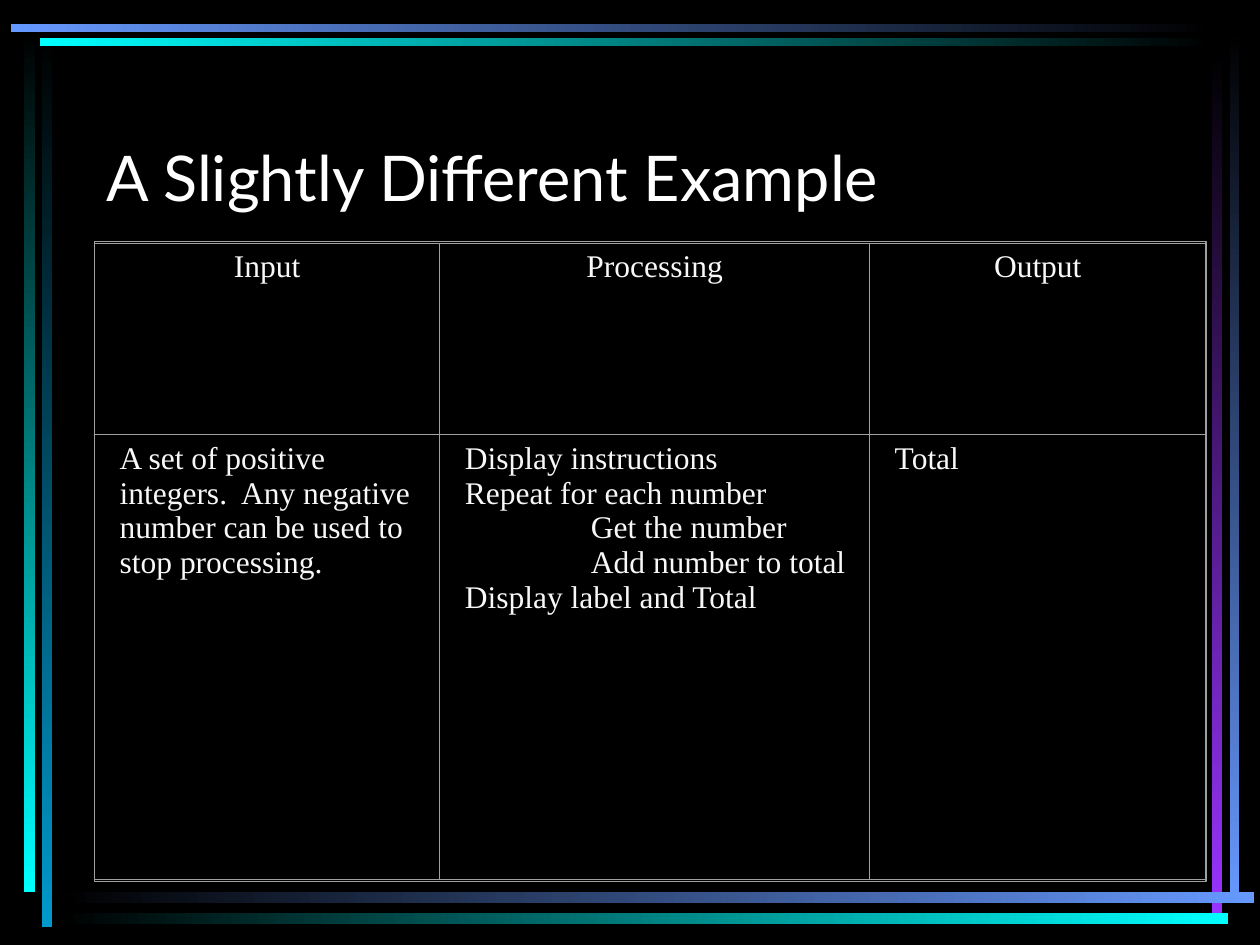
from lxml import etree
from pptx import Presentation
from pptx import util as u
from pptx.dml import color
from pptx.enum import shapes, text
from pptx.oxml import ns

Pt = u.Pt
BLACK = color.RGBColor(0, 0, 0)
WHITE = color.RGBColor(255, 255, 255)
PALE = color.RGBColor(0xF8, 0xF8, 0xF8)
GREY = color.RGBColor(0xA0, 0xA0, 0xA0)
CYAN = color.RGBColor(0, 255, 255)
TEAL = color.RGBColor(0, 0x99, 0xCC)
BLUE = color.RGBColor(0x66, 0x99, 0xFF)
PURPLE = color.RGBColor(0x99, 0x33, 0xFF)

BARS = [
    ((24, 20, 6, 510), BLACK, TEAL),
    ((14, 18, 6, 492), BLACK, CYAN),
    ((703, 17.3, 5, 499), BLACK, BLUE),
    ((692.6, 30, 6, 492), BLACK, PURPLE),
    ((32.4, 509.8, 684, 6), BLACK, BLUE),
    ((32.4, 522, 669.6, 6), BLACK, CYAN),
    ((23, 22, 671, 4.5), CYAN, BLACK),
    ((6, 13.5, 688, 5), BLUE, BLACK),
]
HEADS = ["Input", "Processing", "Output"]
BODY = [
    [("A set of positive integers.  Any negative number can be used to "
      "stop processing.", 0)],
    [("Display instructions", 0), ("Repeat for each number", 0),
     ("Get the number", 72), ("Add number to total", 72),
     ("Display label and Total", 0)],
    [("Total", 0)],
]
WIDTHS = [197.3, 245.6, 192.3]
HEIGHTS = [109.4, 254.2]


def write(para, words, font, size, tint):
    run = para.add_run()
    run.text = words
    run.font.name = font
    run.font.size = Pt(size)
    run.font.color.rgb = tint


def add_rect(slide, box):
    rect = slide.shapes.add_shape(
        shapes.MSO_SHAPE.RECTANGLE, *(Pt(n) for n in box))
    rect.shadow.inherit = False
    return rect


def add_bars(slide):
    for box, start, end in BARS:
        bar = add_rect(slide, box)
        bar.line.fill.background()
        bar.fill.gradient()
        bar.fill.gradient_angle = 270 if box[3] > box[2] else 0
        for stop, tint in zip(bar.fill.gradient_stops, (start, end)):
            stop.color.rgb = tint


def add_title(slide, box):
    frame = slide.shapes.add_textbox(*(Pt(n) for n in box)).text_frame
    frame.word_wrap = True
    frame.vertical_anchor = text.MSO_ANCHOR.BOTTOM
    write(frame.paragraphs[0], "A Slightly Different Example",
          "Lato", 36, WHITE)


def set_edges(cell):
    props = cell._tc.get_or_add_tcPr()
    for at, side in enumerate(("lnL", "lnR", "lnT", "lnB")):
        line = etree.Element(ns.qn("a:" + side), w=str(Pt(0.5)))
        fill = etree.SubElement(line, ns.qn("a:solidFill"))
        etree.SubElement(fill, ns.qn("a:srgbClr"), val=str(GREY))
        props.insert(at, line)


def fill_cell(cell, lines, align, right):
    cell.margin_left, cell.margin_right = Pt(14.4), Pt(right)
    cell.margin_top = cell.margin_bottom = Pt(3.6)
    cell.vertical_anchor = text.MSO_ANCHOR.TOP
    cell.fill.background()
    set_edges(cell)
    frame = cell.text_frame
    for at, (words, indent) in enumerate(lines):
        para = frame.add_paragraph() if at else frame.paragraphs[0]
        para.alignment = align
        if indent:
            para._p.get_or_add_pPr().set("marL", str(Pt(indent)))
        write(para, words, "Times New Roman", 18, PALE)


def add_grid(slide, box):
    left, top, wide, high = box
    grid = slide.shapes.add_table(
        2, 3, Pt(left), Pt(top + 0.8), Pt(wide), Pt(sum(HEIGHTS))).table
    grid.horz_banding = False
    grid.first_row = False
    for row, size in zip(grid.rows, HEIGHTS):
        row.height = Pt(size)
    for at, size in enumerate(WIDTHS):
        grid.columns[at].width = Pt(size)
        fill_cell(grid.cell(0, at), [(HEADS[at], 0)],
                  text.PP_ALIGN.CENTER, 14.4)
        fill_cell(grid.cell(1, at), BODY[at], text.PP_ALIGN.LEFT, 7.2)
    edge = add_rect(slide, box)
    edge.fill.background()
    edge.line.color.rgb = GREY
    edge.line.width = Pt(0.75)


def main():
    deck = Presentation()
    deck.slide_width, deck.slide_height = Pt(720), Pt(540)
    slide = deck.slides.add_slide(deck.slide_layouts[6])
    slide.background.fill.solid()
    slide.background.fill.fore_color.rgb = BLACK
    add_bars(slide)
    add_title(slide, (54, 48, 612, 78))
    add_grid(slide, (54, 138.2, sum(WIDTHS), 365.4))
    deck.save("out.pptx")


if __name__ == "__main__":
    main()
